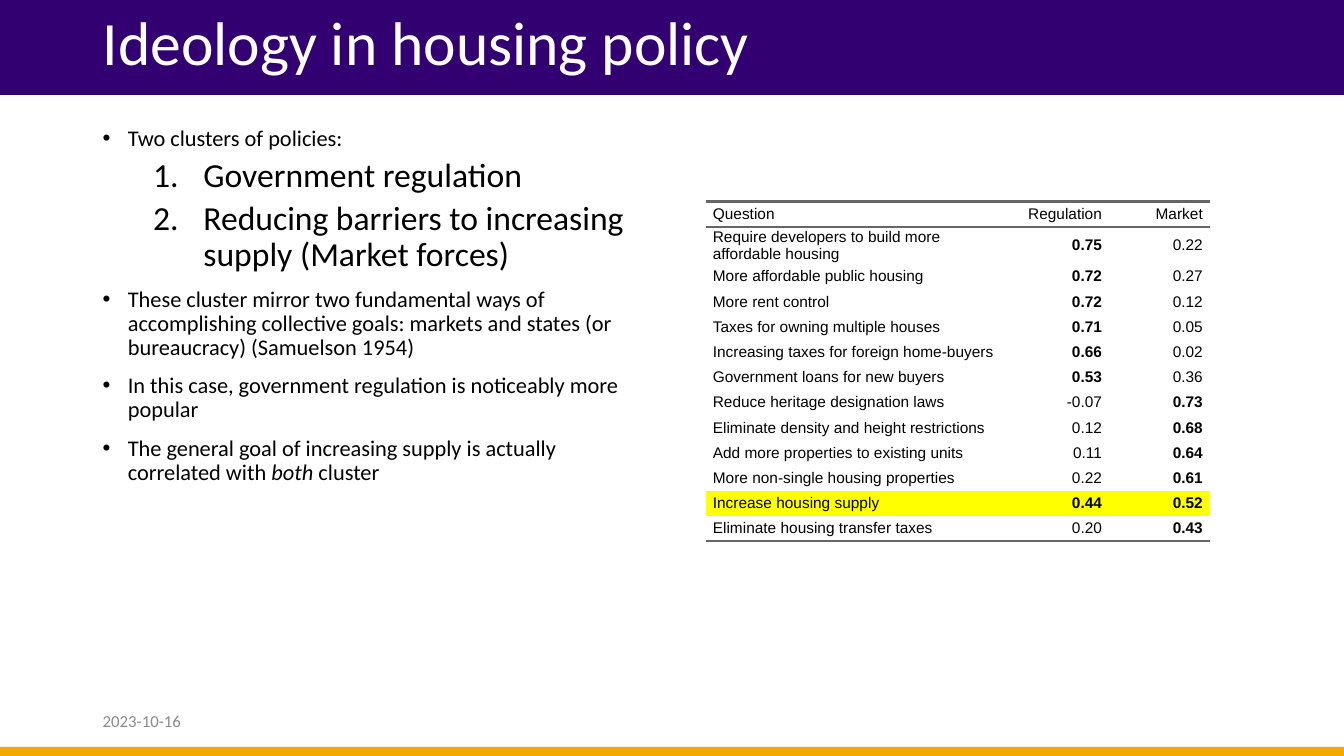
import pptx
import pptx.dml.color
import pptx.enum.shapes
import pptx.enum.text
import pptx.oxml.ns
import pptx.util
from lxml import etree
from dataclasses import dataclass

Inches, Pt = pptx.util.Inches, pptx.util.Pt
Align, Anchor = pptx.enum.text.PP_ALIGN, pptx.enum.text.MSO_ANCHOR
PAGE_WIDTH, PAGE_HEIGHT = 13.33, 7.5
NO_GRID_STYLE = "{2D5ABB26-0587-4C30-8999-92F81FD0307C}"


@dataclass(frozen=True)
class Theme:
    banner: str = "330072"
    footer: str = "F3A902"
    white: str = "FFFFFF"
    ink: str = "000000"
    muted: str = "8C8C8C"
    rule: str = "666666"
    highlight: str = "FFFF00"
    body_font: str = "Calibri"
    table_font: str = "Arial"
    title_size: int = 44
    point_size: int = 16
    number_size: int = 24
    table_size: int = 11
    date_size: int = 12
    rule_width: int = 2


THEME = Theme()

# Each entry: numbered or not, then its spans as (text, italic)
POINTS = [
    (False, [("Two clusters of policies:", False)]),
    (True, [("Government regulation", False)]),
    (True, [("Reducing barriers to increasing supply (Market forces)", False)]),
    (False, [("These cluster mirror two fundamental ways of accomplishing collective goals: "
              "markets and states (or bureaucracy) (Samuelson 1954)", False)]),
    (False, [("In this case, government regulation is noticeably more popular", False)]),
    (False, [("The general goal of increasing supply is actually correlated with ", False),
             ("both", True), (" cluster", False)]),
]

HEADINGS = ("Question", "Regulation", "Market")
LOADINGS = [
    ("Require developers to build more affordable housing", 0.75, 0.22),
    ("More affordable public housing", 0.72, 0.27),
    ("More rent control", 0.72, 0.12),
    ("Taxes for owning multiple houses", 0.71, 0.05),
    ("Increasing taxes for foreign home-buyers", 0.66, 0.02),
    ("Government loans for new buyers", 0.53, 0.36),
    ("Reduce heritage designation laws", -0.07, 0.73),
    ("Eliminate density and height restrictions", 0.12, 0.68),
    ("Add more properties to existing units", 0.11, 0.64),
    ("More non-single housing properties", 0.22, 0.61),
    ("Increase housing supply", 0.44, 0.52),
    ("Eliminate housing transfer taxes", 0.20, 0.43),
]
HIGHLIGHTED = "Increase housing supply"
STRONG_LOADING = 0.4


def rgb(value):
    return pptx.dml.color.RGBColor.from_string(value)


def apply(target, formats):
    for name, value in formats.items():
        setattr(target, name, value)


def add_span(para, text, size, font, color, **formats):
    span = para.add_run()
    span.text = text
    apply(span.font, {"size": Pt(size), "name": font, **formats})
    span.font.color.rgb = rgb(color)


def add_text_frame(page, box, anchor):
    frame = page.shapes.add_textbox(*map(Inches, box)).text_frame
    apply(frame, {"word_wrap": True, "vertical_anchor": anchor})
    return frame


def add_band(page, box, color):
    band = page.shapes.add_shape(
        pptx.enum.shapes.MSO_SHAPE.RECTANGLE, *map(Inches, box))
    band.shadow.inherit = False
    band.fill.solid()
    band.fill.fore_color.rgb = rgb(color)
    band.line.fill.background()
    return band


def add_title(page, box):
    band = add_band(page, box, THEME.banner)
    band.line.color.rgb = rgb(THEME.banner)
    band.line.width = Pt(1)
    left, top, width, height = box
    title_box = (left + 0.92, top - 0.11, width - 1.83, height + 0.18)
    para = add_text_frame(page, title_box, Anchor.MIDDLE).paragraphs[0]
    para.line_spacing = 0.9
    add_span(para, "Ideology in housing policy", THEME.title_size,
             THEME.body_font, THEME.white)


def add_bullet(para, numbered):
    props = para._p.get_or_add_pPr()
    indent, hang = (1, 0.5) if numbered else (0.25, 0.25)
    props.set("marL", str(Inches(indent)))
    props.set("indent", str(-Inches(hang)))
    marks = ([("a:buFont", "typeface", "+mj-lt"), ("a:buAutoNum", "type", "arabicPeriod")]
             if numbered else
             [("a:buFont", "typeface", "Arial"), ("a:buChar", "char", "•")])
    for tag, key, value in marks:
        etree.SubElement(props, pptx.oxml.ns.qn(tag)).set(key, value)


def add_points(page, box):
    frame = add_text_frame(page, box, Anchor.TOP)
    for index, (numbered, spans) in enumerate(POINTS):
        para = frame.add_paragraph() if index else frame.paragraphs[0]
        apply(para, {"level": int(numbered), "line_spacing": 0.9,
                     "space_before": Pt(5 if numbered else 10)})
        add_bullet(para, numbered)
        size = THEME.number_size if numbered else THEME.point_size
        for text, italic in spans:
            add_span(para, text, size, THEME.body_font, THEME.ink, italic=italic)


def add_border(cell, tag):
    line = etree.Element(pptx.oxml.ns.qn(tag), w=str(Pt(THEME.rule_width)))
    fill = etree.SubElement(line, pptx.oxml.ns.qn("a:solidFill"))
    etree.SubElement(fill, pptx.oxml.ns.qn("a:srgbClr")).set("val", THEME.rule)
    cell._tc.get_or_add_tcPr().insert(0, line)


def fill_cell(cell, value, is_number_column, highlighted):
    apply(cell, {"margin_left": 0, "margin_right": 0, "margin_top": 0,
                 "margin_bottom": 0, "vertical_anchor": Anchor.MIDDLE})
    if highlighted:
        cell.fill.solid()
        cell.fill.fore_color.rgb = rgb(THEME.highlight)
    else:
        cell.fill.background()
    para = cell.text_frame.paragraphs[0]
    apply(para, {"alignment": Align.RIGHT if is_number_column else Align.LEFT,
                 "space_before": Pt(5), "space_after": Pt(5)})
    props = para._p.get_or_add_pPr()
    for side in ("marL", "marR"):
        props.set(side, str(Inches(0.07)))
    is_number = isinstance(value, float)
    add_span(para, f"{value:.2f}" if is_number else value, THEME.table_size,
             THEME.table_font, THEME.ink, bold=is_number and value > STRONG_LOADING)


def add_loadings(page, box):
    rows = [HEADINGS, *LOADINGS]
    left, top, width, height = box
    table = page.shapes.add_table(len(rows), len(HEADINGS), *map(Inches, box)).table
    apply(table, {"first_row": False, "horz_banding": False})
    table._tbl.tblPr.find(pptx.oxml.ns.qn("a:tableStyleId")).text = NO_GRID_STYLE
    for column, share in zip(table.columns, (0.6, 0.2, 0.2)):
        column.width = Inches(width * share)
    for row in table.rows:
        row.height = Inches(height / len(rows))
    for row_index, values in enumerate(rows):
        for column_index, value in enumerate(values):
            cell = table.cell(row_index, column_index)
            fill_cell(cell, value, column_index > 0, values[0] == HIGHLIGHTED)
            if row_index in (0, len(rows) - 1):
                add_border(cell, "a:lnB")
            if row_index == 0:
                add_border(cell, "a:lnT")


def add_date(page, box):
    para = add_text_frame(page, box, Anchor.MIDDLE).paragraphs[0]
    add_span(para, "2023-10-16", THEME.date_size, THEME.body_font, THEME.muted)


def main():
    deck = pptx.Presentation()
    apply(deck, {"slide_width": Inches(PAGE_WIDTH), "slide_height": Inches(PAGE_HEIGHT)})
    page = deck.slides.add_slide(deck.slide_layouts[6])
    add_title(page, (0, 0, PAGE_WIDTH, 0.94))
    add_band(page, (0, PAGE_HEIGHT - 0.09, PAGE_WIDTH, 0.09), THEME.footer)
    add_points(page, (0.92, 1.21, 5.67, 5.55))
    add_loadings(page, (7, 2, 5, 3.25))
    add_date(page, (0.92, 6.95, 3, 0.4))
    deck.save("out.pptx")


if __name__ == "__main__":
    main()
